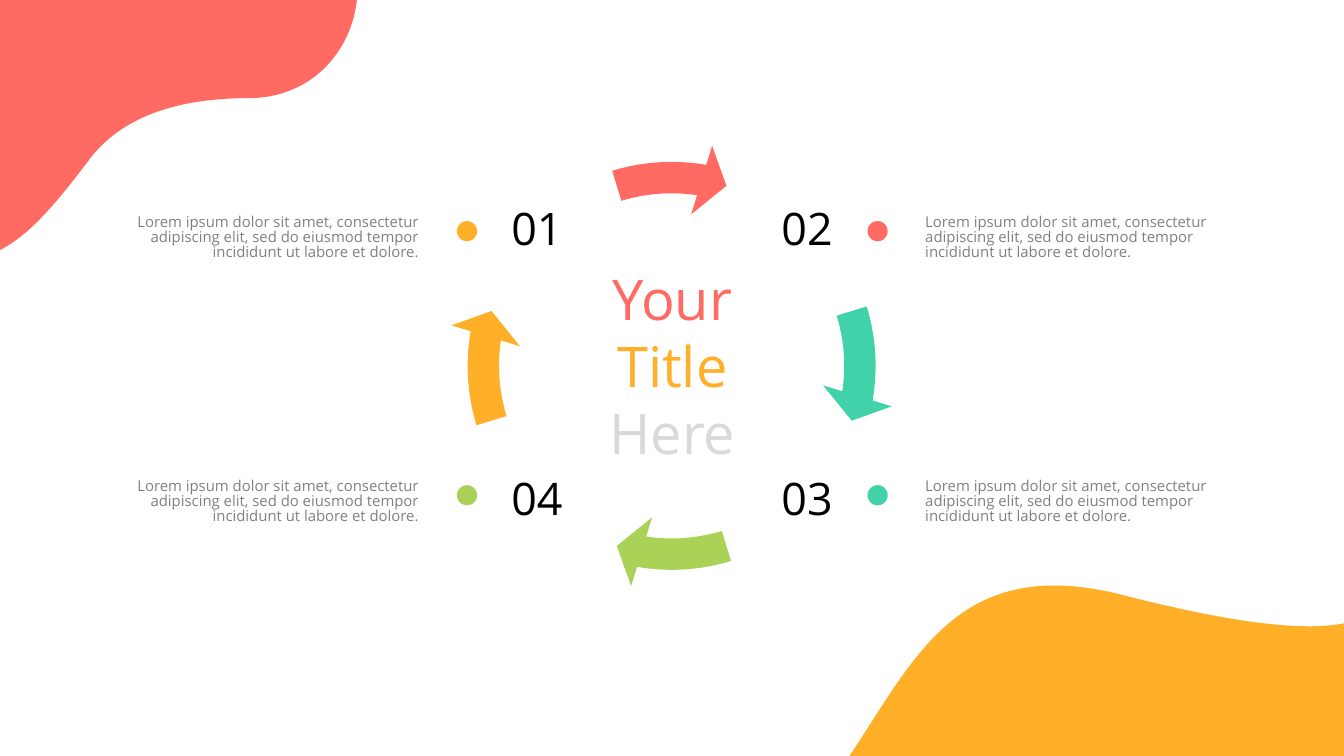
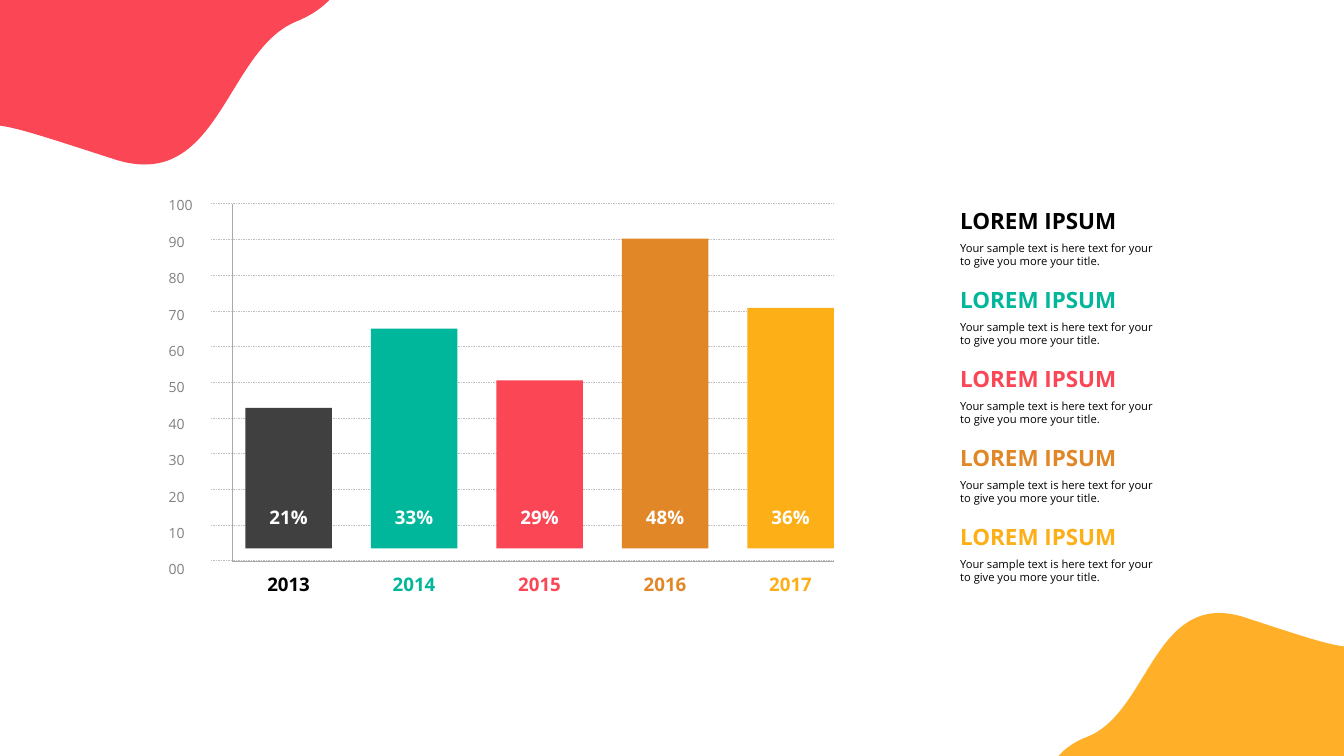
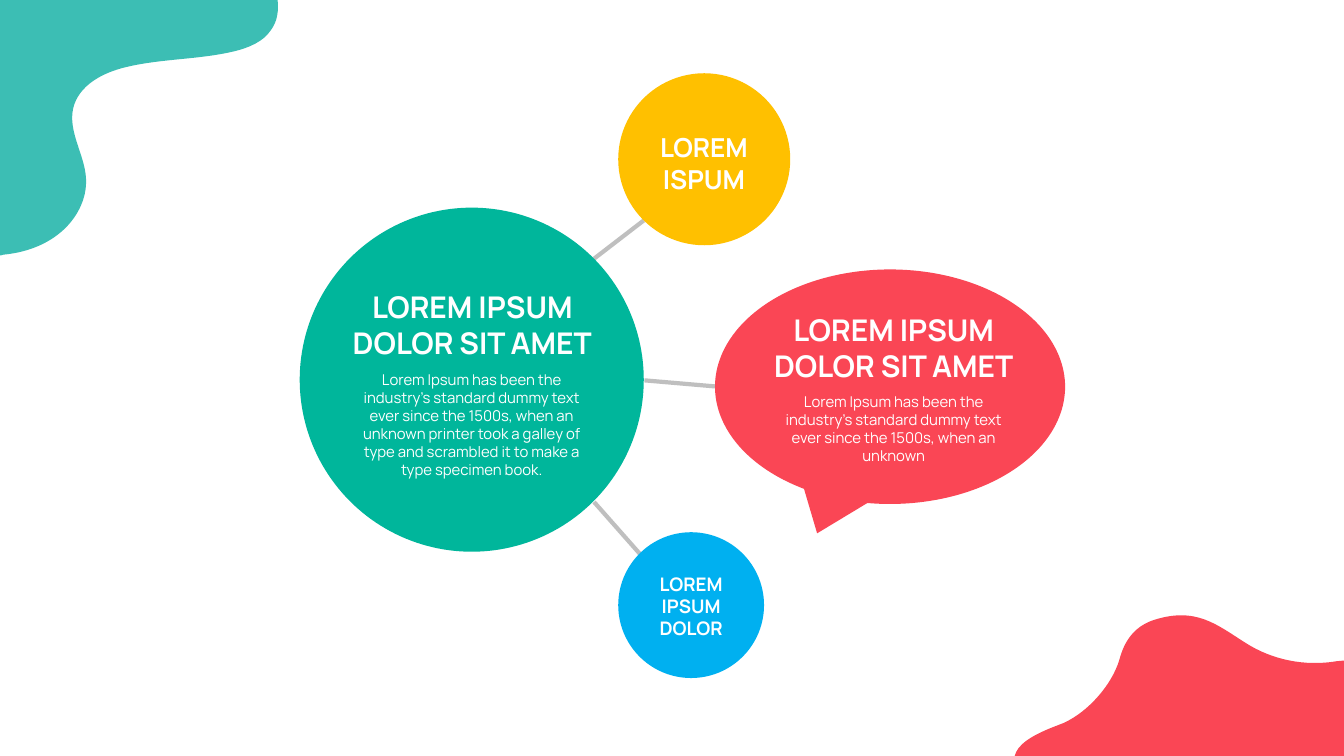
from pptx import Presentation
from pptx import util as u
from pptx.dml.color import RGBColor
from pptx.enum import dml, shapes, text
from pptx.oxml.ns import qn
from lxml import etree

# Colours
BLACK = RGBColor(0x00, 0x00, 0x00)
WHITE = RGBColor(0xFF, 0xFF, 0xFF)
CHARCOAL = RGBColor(0x40, 0x40, 0x40)
GREY = RGBColor(0x80, 0x80, 0x80)
AXIS_GREY = RGBColor(0xA7, 0xA9, 0xAC)
LINE_GREY = RGBColor(0xBF, 0xBF, 0xBF)
PALE_GREY = RGBColor(0xD9, 0xD9, 0xD9)
CORAL = RGBColor(0xFF, 0x6B, 0x63)
ORANGE = RGBColor(0xFF, 0xAF, 0x28)
MINT = RGBColor(0x42, 0xD2, 0xA9)
LIME = RGBColor(0xA9, 0xD2, 0x57)
GREEN = RGBColor(0x00, 0xB6, 0x9B)
RED = RGBColor(0xFA, 0x46, 0x55)
BROWN = RGBColor(0xE1, 0x87, 0x27)
AMBER = RGBColor(0xFC, 0xAF, 0x17)
YELLOW = RGBColor(0xFF, 0xC0, 0x00)
BLUE = RGBColor(0x00, 0xB0, 0xF0)
TEAL = RGBColor(0x3C, 0xBE, 0xB4)

SANS, ROUND = "Open Sans", "Manrope"
LEFT, CENTER, RIGHT = text.PP_ALIGN.LEFT, text.PP_ALIGN.CENTER, text.PP_ALIGN.RIGHT
OVAL = shapes.MSO_SHAPE.OVAL

# The layout grid: a slide is 20 by 11.25 units of 2.54 cm
UNIT = 2.54
SLIDE_WIDTH, SLIDE_HEIGHT = 20, 11.25

# Slide 1 content: a cycle of four steps
TITLE_WORDS = [("Your", CORAL), ("Title", ORANGE), ("Here", PALE_GREY)]
STEP_TEXT = ("Lorem ipsum dolor sit amet, consectetur adipiscing elit, "
             "sed do eiusmod tempor incididunt ut labore et dolore.")
# number, dot colour, column, row
STEPS = [("01", ORANGE, 0, 0), ("02", CORAL, 1, 0),
         ("03", MINT, 1, 1), ("04", LIME, 0, 1)]
# number left, dot left, text left, text alignment
STEP_COLUMNS = [(6.81, 6.8, 1.78, RIGHT), (10.83, 12.91, 13.67, LEFT)]
# number top, dot top, text top
STEP_ROWS = [(2.26, 3.29, 3.16), (6.27, 7.22, 7.09)]
ARROW_COLOURS = [MINT, LIME, ORANGE, CORAL]

# Slide 2 content: year, share, bar height, bar colour, text colour
BARS = [("2013", "21%", 2.09, CHARCOAL, BLACK),
        ("2014", "33%", 3.27, GREEN, GREEN),
        ("2015", "29%", 2.5, RED, RED),
        ("2016", "48%", 4.61, BROWN, BROWN),
        ("2017", "36%", 3.58, AMBER, AMBER)]
SCALE = [f"{value:02d}" for value in range(100, -1, -10)]
NOTE_TITLE = "LOREM IPSUM"
NOTE_LINES = ["Your sample text is here text for your",
              "to give you more your title."]

# Slide 3 content
LINKS = [(8.84, 7.47, 9.52, 8.24), (8.84, 3.85, 9.58, 3.28), (9.59, 5.66, 10.64, 5.75)]
BUBBLES = [(OVAL, 4.46, 3.09, 5.12, 5.12, GREEN),
           (OVAL, 9.2, 1.09, 2.56, 2.56, YELLOW),
           (shapes.MSO_SHAPE.OVAL_CALLOUT, 10.64, 4.01, 5.21, 3.49, RED),
           (OVAL, 9.2, 7.92, 2.17, 2.17, BLUE)]
TOPIC = ["LOREM IPSUM", "DOLOR SIT AMET"]
SHORT_TEXT = ("Lorem Ipsum has been the industry's standard dummy text "
              "ever since the 1500s, when an unknown")
LONG_TEXT = (SHORT_TEXT + " printer took a galley of type and scrambled it "
             "to make a type specimen book.")
# left, top, width, height, lines, size, bold
BUBBLE_TEXTS = [(5.07, 4.25, 3.92, 1.18, TOPIC, 32, True),
                (5.17, 5.47, 3.7, 1.72, [LONG_TEXT], 16, False),
                (11.37, 5.79, 3.86, 1.18, [SHORT_TEXT], 16, False),
                (11.35, 4.59, 3.9, 1.18, TOPIC, 32, True),
                (9.34, 1.91, 2.27, 1.04, ["LOREM ISPUM"], 28, True),
                (9.45, 8.47, 1.67, 1.11, ["LOREM IPSUM", "DOLOR"], 20, True)]

# Corner waves: start point, then curves (six numbers) and straight lines (two)
WAVES = {
    "cycle": [
        (CORAL, [(3.7, 1.46), (4.64, 1.46, 5.23, 0.76, 5.31, 0), (0, 0), (0, 3.72),
                 (0.44, 3.5, 0.85, 3.01, 1.34, 2.36),
                 (1.89, 1.64, 2.85, 1.46, 3.7, 1.46)]),
        (ORANGE, [(12.56, 11.36), (12.58, 11.34, 12.59, 11.33, 12.6, 11.31),
                  (13.6, 9.84, 14.23, 8.21, 16.73, 8.86),
                  (18.26, 9.25, 19.38, 9.41, 20.03, 9.27), (20.03, 11.36),
                  (12.56, 11.36)])],
    "bars": [
        (ORANGE, [(15.75, 11.25), (15.86, 11.13, 16, 11.03, 16.19, 10.96),
                  (17.11, 10.59, 17.18, 8.75, 18.53, 9.19),
                  (19.38, 9.47, 19.75, 9.59, 20, 9.62), (20, 11.25),
                  (15.75, 11.25)]),
        (RED, [(4.92, -0.02), (4.79, 0.12, 4.63, 0.23, 4.41, 0.32),
               (3.35, 0.75, 3.27, 2.88, 1.7, 2.37),
               (0.71, 2.05, 0.29, 1.91, 0, 1.87), (0, -0.02), (4.92, -0.02)])],
    "bubbles": [
        (RED, [(15.75, 10.79), (15.32, 10.95, 15.14, 11.09, 15.1, 11.25),
               (20, 11.25), (20, 9.83), (19.96, 9.83, 19.93, 9.84, 19.89, 9.84),
               (19.42, 9.92, 18.93, 9.82, 18.54, 9.57),
               (18.11, 9.3, 17.8, 9.02, 17.16, 9.23),
               (16.87, 9.33, 16.73, 9.55, 16.66, 9.81),
               (16.55, 10.2, 16.15, 10.65, 15.75, 10.79)]),
        (TEAL, [(4.13, -0.01), (4.15, 0.15, 4.13, 0.32, 4.03, 0.45),
                (3.92, 0.62, 3.7, 0.71, 3.5, 0.76),
                (2.97, 0.89, 2.4, 0.87, 1.87, 1),
                (1.53, 1.08, 1.17, 1.27, 1.09, 1.61),
                (1.01, 1.96, 1.26, 2.3, 1.28, 2.65),
                (1.3, 2.96, 1.14, 3.26, 0.9, 3.46),
                (0.66, 3.66, 0.36, 3.76, 0.05, 3.79),
                (0.03, 3.8, 0.01, 3.8, -0.02, 3.8), (-0.02, -0.01),
                (4.13, -0.01)])],
}


# Helpers
def grid(*values):
    return [u.Cm(value * UNIT) for value in values]


def fill_plain(shape, colour):
    shape.shadow.inherit = False
    shape.fill.solid()
    shape.fill.fore_color.rgb = colour
    shape.line.fill.background()


def add_filled(slide, kind, left, top, width, height, colour):
    shape = slide.shapes.add_shape(kind, *grid(left, top, width, height))
    fill_plain(shape, colour)
    return shape


def write(frame, lines, size, colours, font=SANS, bold=False, align=LEFT,
          line_spacing=None, space_after=None, wrap=True):
    """Write one paragraph a line; colours is one colour or one for each line."""
    frame.word_wrap = wrap
    frame.vertical_anchor = text.MSO_ANCHOR.TOP
    frame.auto_size = text.MSO_AUTO_SIZE.SHAPE_TO_FIT_TEXT
    if isinstance(colours, RGBColor):
        colours = [colours] * len(lines)
    for index, (line, colour) in enumerate(zip(lines, colours)):
        paragraph = frame.add_paragraph() if index else frame.paragraphs[0]
        paragraph.alignment = align
        paragraph.line_spacing = line_spacing
        paragraph.space_after = space_after
        run = paragraph.add_run()
        run.text = line
        run.font.name = font
        run.font.size = u.Pt(size)
        run.font.bold = bold
        run.font.color.rgb = colour


def add_text(slide, left, top, width, height, *content, **style):
    box = slide.shapes.add_textbox(*grid(left, top, width, height))
    write(box.text_frame, *content, **style)


def add_line(slide, ends, width, dash=None):
    line = slide.shapes.add_connector(shapes.MSO_CONNECTOR.STRAIGHT, *grid(*ends))
    line.line.color.rgb = LINE_GREY
    line.line.width = u.Pt(width)
    if dash:
        line.line.dash_style = dash
    etree.SubElement(line._element.spPr, qn("a:effectLst"))


def add_outline(slide, segments, close=True):
    """Draw straight lines (two numbers) and curves (six numbers)."""
    points = [segment[index:index + 2] for segment in segments
              for index in range(0, len(segment), 2)]
    builder = slide.shapes.build_freeform(*grid(*points[0]))
    builder.add_line_segments([grid(*point) for point in points[1:]], close=close)
    shape = builder.convert_to_shape()
    # Join the three points of each curve into one Bezier step
    steps = iter(list(shape._element.iter(qn("a:lnTo"))))
    for segment in segments[1:]:
        first = next(steps)
        if len(segment) == 6:
            first.tag = qn("a:cubicBezTo")
            for _ in range(2):
                extra = next(steps)
                first.append(extra[0])
                extra.getparent().remove(extra)
    return shape


def add_waves(slide, name):
    for colour, segments in WAVES[name]:
        fill_plain(add_outline(slide, segments), colour)


def add_number(slide, left, top, number, side=2.36, inset=0.07):
    right, bottom = left + side, top + side
    shape = add_outline(slide, [(left, top), (right, top), (right, bottom), (left, bottom)])
    shape.shadow.inherit = False
    shape.fill.background()
    shape.line.fill.background()
    frame = shape.text_frame
    write(frame, [number], 48, BLACK, align=CENTER, line_spacing=0.9)
    frame.auto_size = text.MSO_AUTO_SIZE.NONE
    frame.vertical_anchor = text.MSO_ANCHOR.MIDDLE
    (frame.margin_left, frame.margin_top,
     frame.margin_right, frame.margin_bottom) = grid(*[inset] * 4)


presentation = Presentation()
presentation.slide_width, presentation.slide_height = grid(SLIDE_WIDTH, SLIDE_HEIGHT)
TITLE_ONLY, BLANK = presentation.slide_layouts[5], presentation.slide_layouts[6]

# Slide 1: cycle
slide = presentation.slides.add_slide(TITLE_ONLY)
title = slide.shapes.title
title.left, title.top, title.width, title.height = grid(8.39, 3.88, 3.23, 3.13)
words, word_colours = zip(*TITLE_WORDS)
write(title.text_frame, words, 60, word_colours, align=CENTER)

QUARTER, FULL_TURN = 54, 216
for turn, colour in enumerate(ARROW_COLOURS):
    arrow = add_filled(slide, shapes.MSO_SHAPE.CIRCULAR_ARROW,
                       6.66, 2.11, 6.67, 6.67, colour)
    head = 5.51 + turn * QUARTER
    tail = (205.84 + turn * QUARTER) % FULL_TURN
    for index, value in enumerate((0.07, 4.65, head, tail, 0.08)):
        arrow.adjustments[index] = value

add_waves(slide, "cycle")
for number, colour, column, row in STEPS:
    number_left, dot_left, text_left, align = STEP_COLUMNS[column]
    number_top, dot_top, text_top = STEP_ROWS[row]
    add_number(slide, number_left, number_top, number)
    add_filled(slide, OVAL, dot_left, dot_top, 0.3, 0.3, colour)
    add_text(slide, text_left, text_top, 4.55, 0.78, [STEP_TEXT], 16, GREY,
             align=align, line_spacing=u.Pt(16))

# Slide 2: bars, scale and notes
slide = presentation.slides.add_slide(BLANK)
GRID_TOP, GRID_BOTTOM, GRID_RIGHT = 3.03, 8.34, 12.41
grid_step = (GRID_BOTTOM - GRID_TOP) / (len(SCALE) - 1)
for index in range(len(SCALE)):
    y = GRID_TOP + index * grid_step
    add_line(slide, (3.14, y, GRID_RIGHT, y), 0.25, dml.MSO_LINE.DASH)
axis = add_outline(slide, [(GRID_RIGHT, 8.36), (3.46, 8.36), (3.46, 3.04)], close=False)
axis.shadow.inherit = False
axis.fill.background()
axis.line.color.rgb = AXIS_GREY
axis.line.width = u.Pt(1.13)
add_text(slide, 2.41, 2.63, 1.1, 6.14, SCALE, 15, GREY,
         line_spacing=2.0, space_after=u.Pt(3))

BAR_WIDTH, BAR_BOTTOM, FIRST_BAR = 1.29, 8.16, 3.65
bar_step = (GRID_RIGHT - BAR_WIDTH - FIRST_BAR) / (len(BARS) - 1)
NOTE_LEFT, NOTE_TOP, LAST_NOTE_TOP = 14.19, 3.03, 7.73
note_step = (LAST_NOTE_TOP - NOTE_TOP) / (len(BARS) - 1)
for index, (year, share, height, bar_colour, text_colour) in enumerate(BARS):
    left = FIRST_BAR + index * bar_step
    add_filled(slide, shapes.MSO_SHAPE.RECTANGLE, left, BAR_BOTTOM - height,
               BAR_WIDTH, height, bar_colour)
    for label, top, width, colour in ((share, 7.48, 0.77, WHITE),
                                      (year, 8.47, 0.84, text_colour)):
        add_text(slide, left + (BAR_WIDTH - width) / 2, top, width, 0.44, [label],
                 20, colour, bold=True, align=CENTER, wrap=False)
    top = NOTE_TOP + index * note_step
    add_text(slide, NOTE_LEFT, top, 2.55, 0.5, [NOTE_TITLE], 24, text_colour,
             bold=True, wrap=False)
    add_text(slide, NOTE_LEFT, top + 0.51, 3.3, 0.5, NOTE_LINES, 12, BLACK)
add_waves(slide, "bars")

# Slide 3: linked bubbles
slide = presentation.slides.add_slide(BLANK)
for ends in LINKS:
    add_line(slide, ends, 4.5)
for bubble in BUBBLES:
    add_filled(slide, *bubble)
for left, top, width, height, lines, size, bold in BUBBLE_TEXTS:
    add_text(slide, left, top, width, height, lines, size, WHITE,
             font=ROUND, bold=bold, align=CENTER)
add_waves(slide, "bubbles")

presentation.save("out.pptx")
